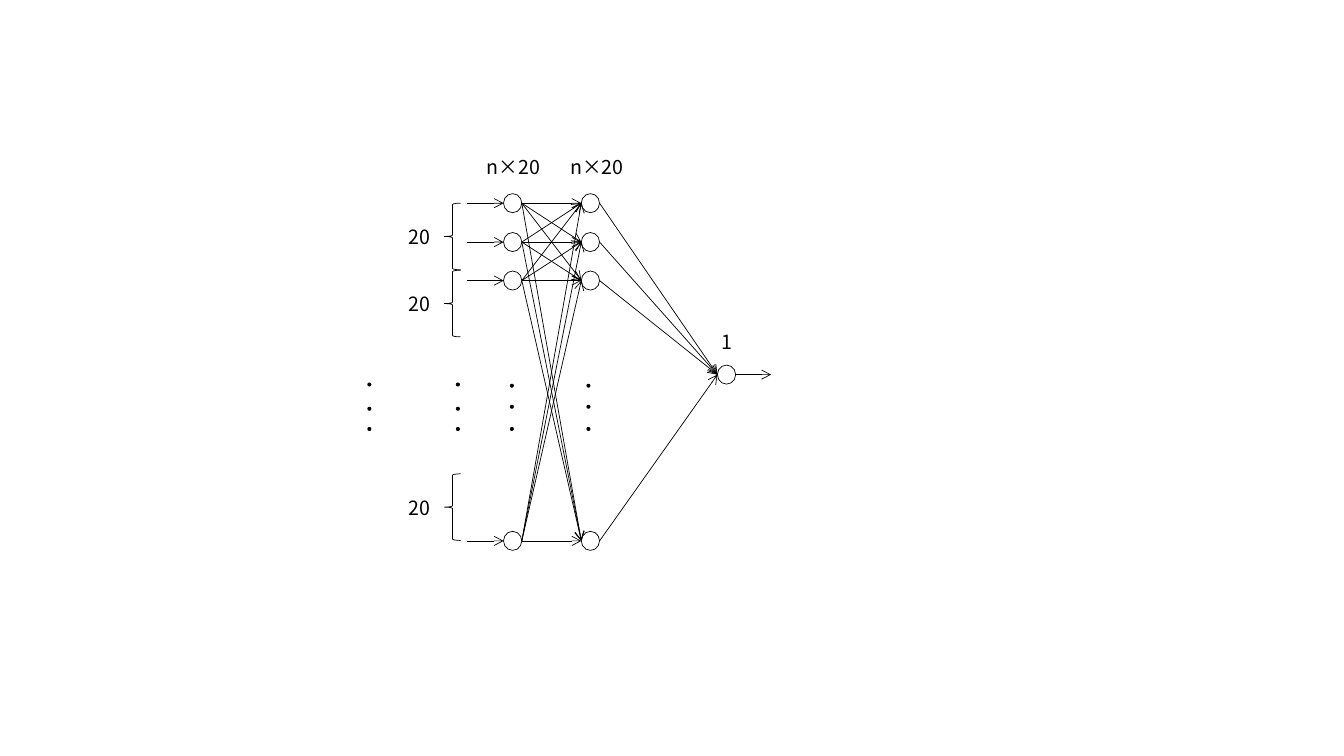
"""Draw a network of n×20 inputs, n×20 hidden nodes and one output."""
from lxml import etree
from pptx import Presentation
from pptx.dml.color import RGBColor
from pptx.enum.shapes import MSO_CONNECTOR, MSO_SHAPE
from pptx.enum.text import MSO_AUTO_SIZE, PP_ALIGN
from pptx.oxml.ns import qn
from pptx.util import Cm, Pt

CIRCLE = MSO_SHAPE.OVAL
DOT = MSO_SHAPE.FLOWCHART_CONNECTOR
BRACE = MSO_SHAPE.LEFT_BRACE
STRAIGHT = MSO_CONNECTOR.STRAIGHT
FIT = MSO_AUTO_SIZE.SHAPE_TO_FIT_TEXT
CENTER = PP_ALIGN.CENTER

COLORS = {"ink": "000000"}
FONT = "Noto Sans CJK JP"
NODE_W, NODE_H, DOT_SIZE = 0.46, 0.48, 0.08
BRACE_W, BRACE_H = 0.41, 1.68
LABEL_W, LABEL_H = 2.31, 0.86

ROWS = [5.12, 6.1, 7.07, 13.63]
INPUT_X, HIDDEN_X, OUTPUT_X, OUTPUT_Y = 12.92, 14.88, 18.31, 9.44
ARROW_START, ARROW_END = 11.76, 19.43
BRACE_X, BRACE_TOPS = 11.2, [5.12, 6.81, 11.94]
OUTER_DOTS, INNER_DOTS = [9.69, 10.3, 10.81], [9.72, 10.25, 10.81]
DOT_COLUMNS = {9.31: OUTER_DOTS, 11.54: OUTER_DOTS,
               12.9: INNER_DOTS, 14.83: INNER_DOTS}


def color(name):
    return RGBColor.from_string(COLORS[name])


def write(tf, text, size=14, ink="ink", font=FONT, align=CENTER):
    p = tf.paragraphs[0]
    p.alignment = align
    r = p.add_run()
    r.text = text
    r.font.size = Pt(size)
    r.font.color.rgb = color(ink)
    r.font.name = font
    ea = etree.SubElement(r._r.get_or_add_rPr(), qn("a:ea"))
    ea.set("typeface", font)


class Diagram:
    def __init__(self, slide, ink="ink", weight=0.5):
        self.slide = slide
        self.ink = ink
        self.weight = weight

    def outline(self, line):
        line.color.rgb = color(self.ink)
        line.width = Pt(self.weight)

    def shape(self, kind, x, y, w, h, fill=None):
        s = self.slide.shapes.add_shape(kind, Cm(x), Cm(y), Cm(w), Cm(h))
        s.shadow.inherit = False
        if fill:
            s.fill.solid()
            s.fill.fore_color.rgb = color(fill)
        else:
            s.fill.background()
        self.outline(s.line)

    def node(self, x, y):
        self.shape(CIRCLE, x - NODE_W / 2, y - NODE_H / 2, NODE_W, NODE_H)

    def dot(self, x, y):
        self.shape(DOT, x - DOT_SIZE / 2, y - DOT_SIZE / 2,
                   DOT_SIZE, DOT_SIZE, fill=self.ink)

    def brace(self, x, y):
        self.shape(BRACE, x, y, BRACE_W, BRACE_H)

    def label(self, text, x, y):
        s = self.slide.shapes.add_textbox(
            Cm(x), Cm(y), Cm(LABEL_W), Cm(LABEL_H))
        tf = s.text_frame
        tf.word_wrap = True
        tf.auto_size = FIT
        write(tf, text, ink=self.ink)

    def arrow(self, x1, y1, x2, y2):
        c = self.slide.shapes.add_connector(
            STRAIGHT, Cm(x1), Cm(y1), Cm(x2), Cm(y2))
        self.outline(c.line)
        sp_pr = c._element.spPr
        tail = etree.SubElement(sp_pr.find(qn("a:ln")), qn("a:tailEnd"))
        tail.set("type", "arrow")
        etree.SubElement(sp_pr, qn("a:effectLst"))


def main():
    prs = Presentation()
    prs.slide_width, prs.slide_height = Cm(33.87), Cm(19.05)
    d = Diagram(prs.slides.add_slide(prs.slide_layouts[6]))
    half = NODE_W / 2

    for y in ROWS:
        d.node(INPUT_X, y)
        d.node(HIDDEN_X, y)
        d.arrow(ARROW_START, y, INPUT_X - half, y)
        for target in ROWS:
            d.arrow(INPUT_X + half, y, HIDDEN_X - half, target)
        d.arrow(HIDDEN_X + half, y, OUTPUT_X - half, OUTPUT_Y)
    d.node(OUTPUT_X, OUTPUT_Y)
    d.arrow(OUTPUT_X + half, OUTPUT_Y, ARROW_END, OUTPUT_Y)

    for x, ys in DOT_COLUMNS.items():
        for y in ys:
            d.dot(x, y)

    for y in BRACE_TOPS:
        d.brace(BRACE_X, y)
        d.label("20", 9.42, y + 0.43)
    for text, x, y in [("n×20", 11.79, 3.78), ("n×20", 13.89, 3.78),
                       ("1", 17.17, 8.2)]:
        d.label(text, x, y)

    prs.save("out.pptx")


if __name__ == "__main__":
    main()
